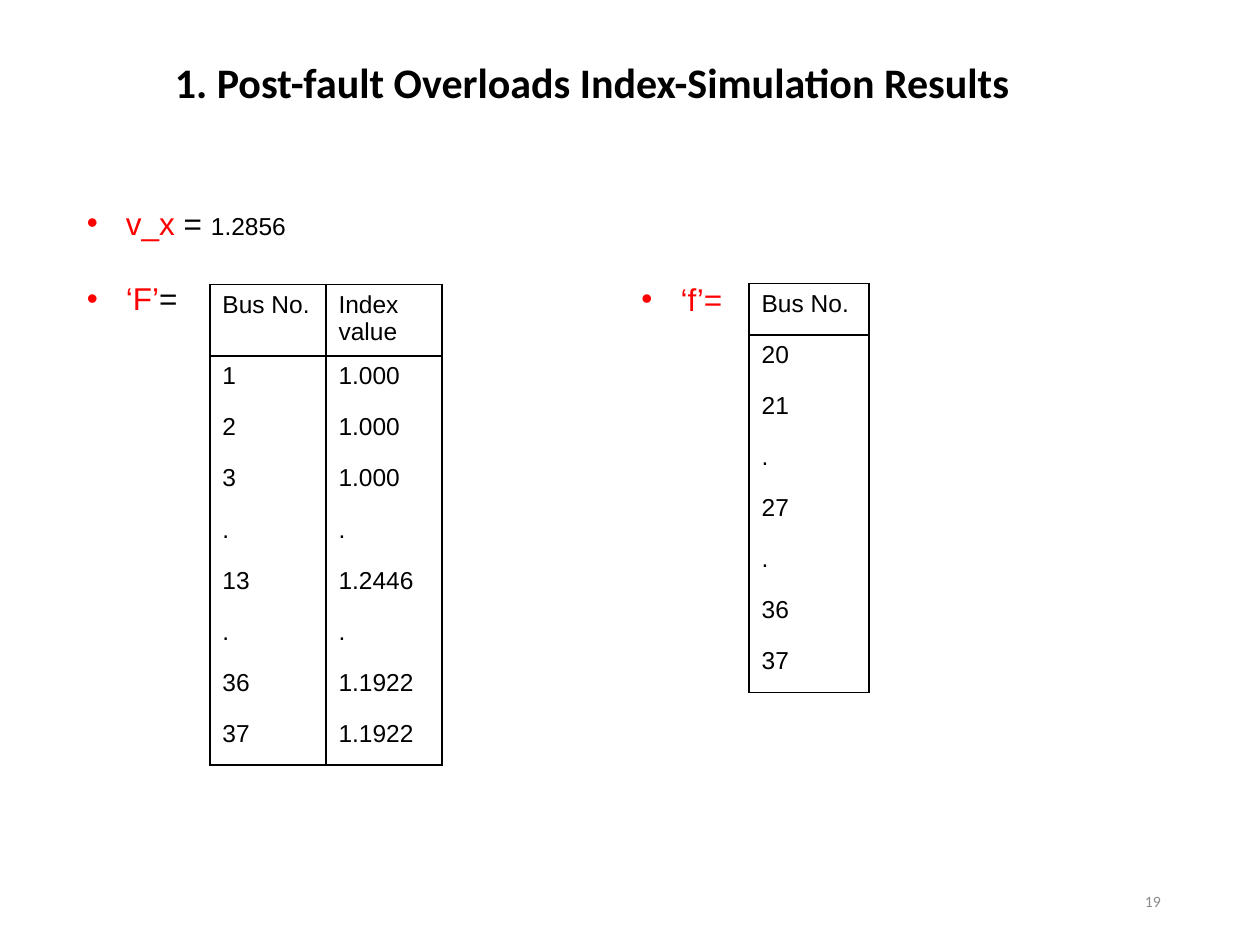
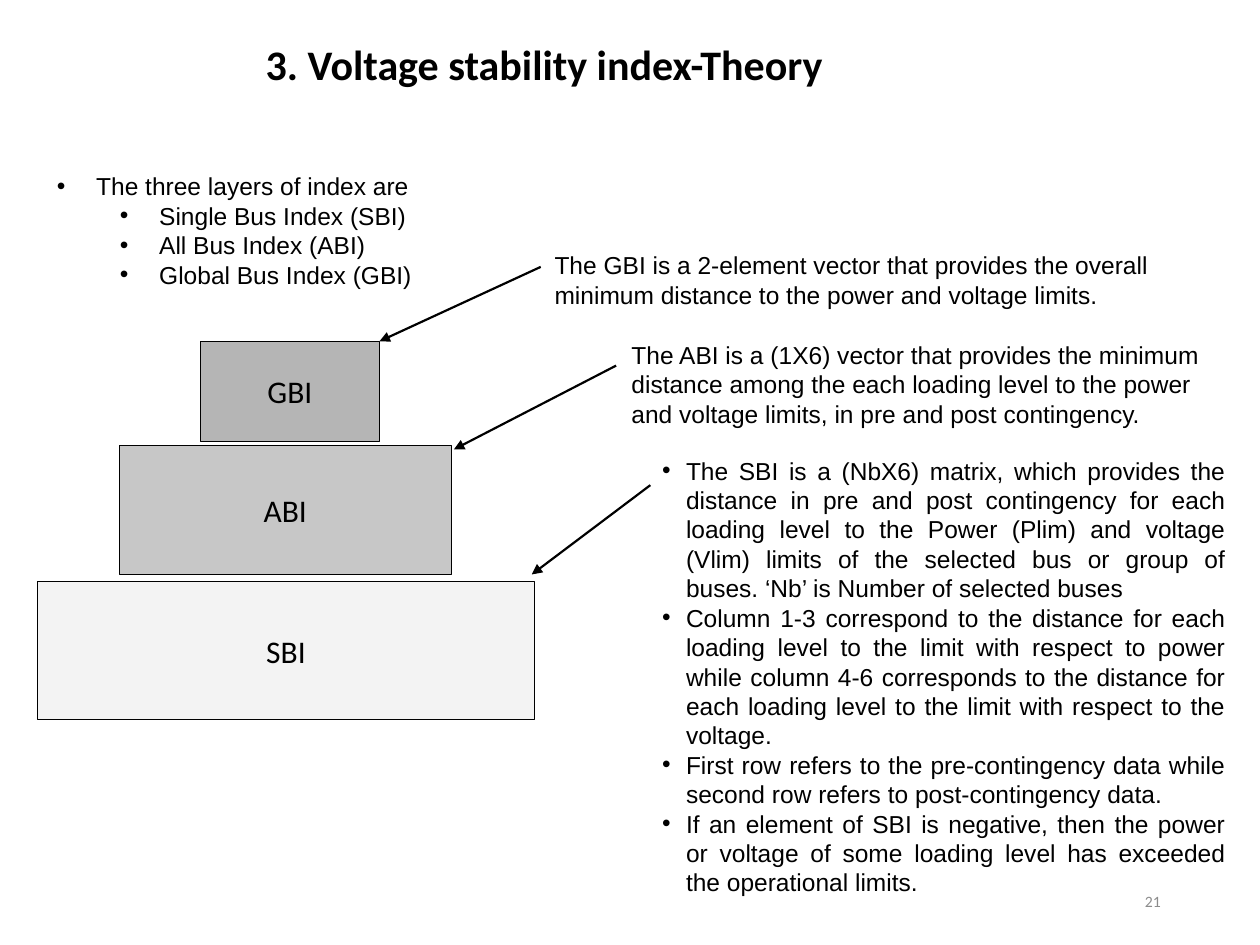
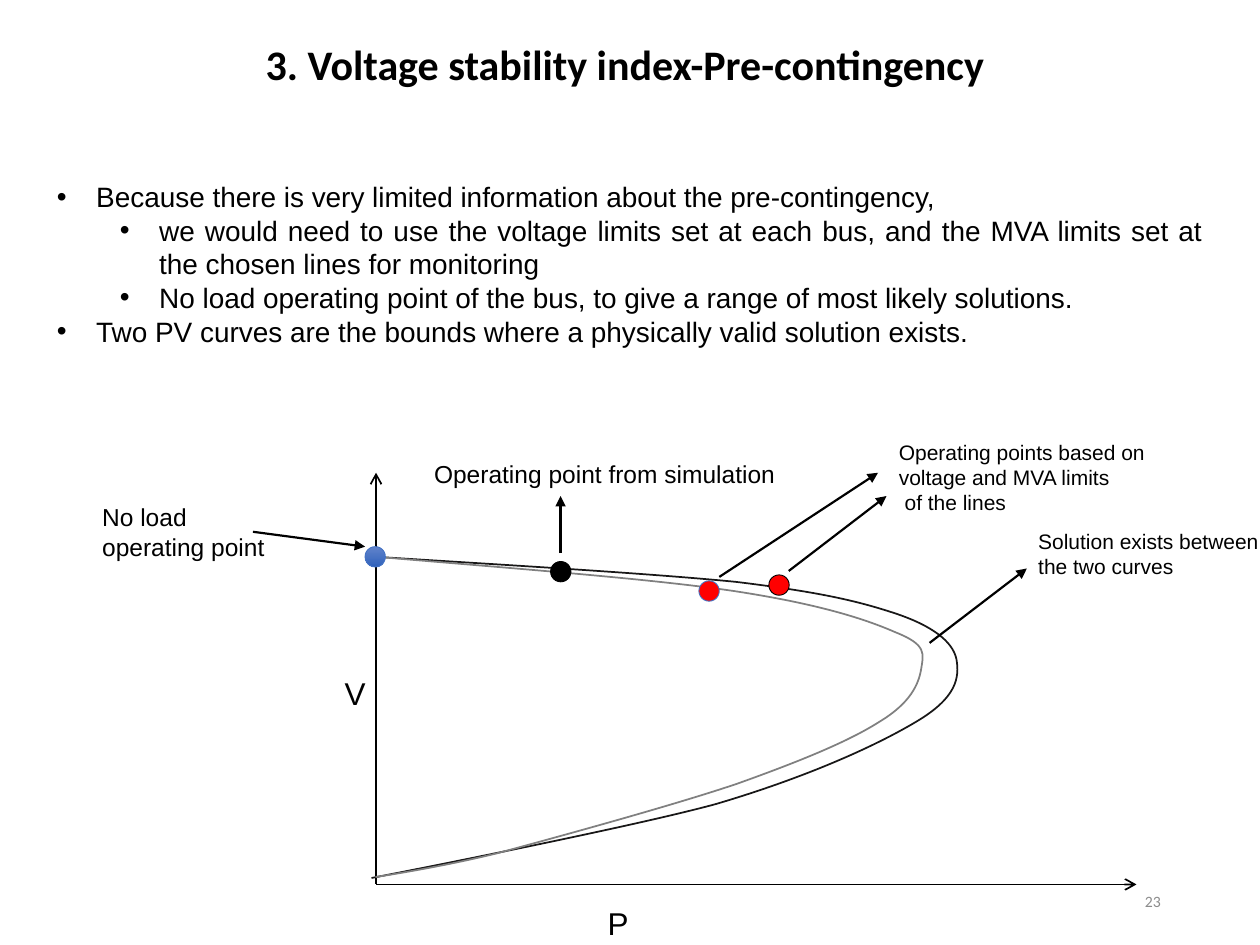
from lxml.etree import SubElement
from pptx import Presentation
from pptx.dml.color import RGBColor
from pptx.enum.shapes import MSO_CONNECTOR, MSO_SHAPE
from pptx.enum.text import MSO_ANCHOR as Anchor, PP_ALIGN as Align
from pptx.oxml.ns import qn
from pptx.util import Cm, Pt

rgb = RGBColor.from_string
BLACK, RED, BLUE, GREY = "000000", "FF0000", "4472C4", "8C8C8C"
HANG, LEVEL_STEP = 0.79, 1.27


def write(frame, lines, size=14, font="Arial", color=BLACK, bold=False, align=Align.LEFT,
          anchor=Anchor.TOP, wrap=True, levels=None, hang=HANG, gap=0, spacing=None):
    """Fill a frame; a line is a string or a list of (text, size, color) spans.

    levels gives the bullet level of each line, gap the points between lines.
    """
    frame.word_wrap, frame.vertical_anchor = wrap, anchor
    for index, line in enumerate(lines):
        para = frame.paragraphs[0] if index == 0 else frame.add_paragraph()
        para.alignment = align
        para.space_before = Pt(gap if index else 0)
        if spacing:
            para.line_spacing = spacing
        spans = [(line, size, color)] if isinstance(line, str) else line
        if levels:
            para.level = levels[index]
            props = para._p.get_or_add_pPr()
            props.set("marL", str(Cm(hang + LEVEL_STEP * levels[index])))
            props.set("indent", str(-Cm(hang)))
            bullet_color = SubElement(props, qn("a:buClr"))
            SubElement(bullet_color, qn("a:srgbClr"), val=spans[0][2])
            SubElement(props, qn("a:buFont"), typeface="Arial")
            SubElement(props, qn("a:buChar"), char="•")
        for text, span_size, span_color in spans:
            span = para.add_run()
            span.text = text
            span.font.name, span.font.bold = font, bold
            span.font.size, span.font.color.rgb = Pt(span_size), rgb(span_color)


def add_line(page, ends, width=1.25, head="triangle"):
    line = page.shapes.add_connector(MSO_CONNECTOR.STRAIGHT, *map(Cm, ends))
    line.line.color.rgb, line.line.width = rgb(BLACK), Pt(width)
    props = line._element.spPr
    SubElement(props.find(qn("a:ln")), qn("a:tailEnd"), type=head)
    SubElement(props, qn("a:effectLst"))


deck = Presentation()
deck.slide_width, deck.slide_height = Cm(25.4), Cm(19.05)

# Titles and page numbers
pages = []
for title, number, left, top, width in [
    ("1. Post-fault Overloads Index-Simulation Results", "19", 3.27, 1.12, 21.03),
    ("3. Voltage stability index-Theory", "21", 5.1, 0.76, 19.86),
    ("3. Voltage stability index-Pre-contingency", "23", 5.1, 0.76, 19.86),
]:
    page = deck.slides.add_slide(deck.slide_layouts[5])
    heading = page.shapes.title
    heading.left, heading.top = Cm(left), Cm(top)
    heading.width, heading.height = Cm(width), Cm(3.18)
    write(heading.text_frame, [title], size=24, font="Calibri", bold=True, spacing=0.9)
    box = page.shapes.add_textbox(Cm(17.93), Cm(17.65), Cm(5.72), Cm(1.02))
    write(box.text_frame, [number], size=9, font="Calibri", color=GREY,
          align=Align.RIGHT, anchor=Anchor.MIDDLE)
    pages.append(page)
results, theory, pre_contingency = pages

# Simulation results
box = results.shapes.add_textbox(Cm(1.5), Cm(3.73), Cm(22.23), Cm(2.82))
box.text_frame.margin_top = Cm(0.38)
write(box.text_frame, [
    [("v_x", 18, RED), (" = ", 18, BLACK), ("1.2856", 14, BLACK)],
    [("‘F’", 18, RED), ("=", 18, BLACK)],
], align=Align.JUSTIFY, levels=(0, 0), gap=21.6)
box = results.shapes.add_textbox(Cm(12.68), Cm(5.52), Cm(2.16), Cm(1.02))
write(box.text_frame, ["‘f’="], size=18, color=RED, wrap=False, levels=(0,))

ROW_HEIGHT = 1.03
index_rows = [("Bus No.", "Index value"), ("1", "1.000"), ("2", "1.000"), ("3", "1.000"),
              (".", "."), ("13", "1.2446"), (".", "."), ("36", "1.1922"), ("37", "1.1922")]
bus_rows = [("Bus No.",), ("20",), ("21",), (".",), ("27",), (".",), ("36",), ("37",)]
for rows, left, top, column_width, header_height in [
    (index_rows, 4.23, 5.74, 2.34, 1.43),
    (bus_rows, 15.1, 5.72, 2.42, ROW_HEIGHT),
]:
    columns = len(rows[0])
    height = header_height + ROW_HEIGHT * (len(rows) - 1)
    table = results.shapes.add_table(len(rows), columns, Cm(left), Cm(top),
                                     Cm(column_width * columns), Cm(height)).table
    table.first_row = table.horz_banding = False
    for column in table.columns:
        column.width = Cm(column_width)
    for r, values in enumerate(rows):
        table.rows[r].height = Cm(ROW_HEIGHT if r else header_height)
        edges = {"a:lnL": True, "a:lnR": True, "a:lnT": r <= 1,
                 "a:lnB": r in (0, len(rows) - 1)}
        for c, value in enumerate(values):
            cell = table.cell(r, c)
            write(cell.text_frame, [value])
            props = cell._tc.get_or_add_tcPr()
            for edge, drawn in edges.items():
                border = SubElement(props, qn(edge), w=str(Pt(1)))
                paint = SubElement(border, qn("a:solidFill" if drawn else "a:noFill"))
                if drawn:
                    SubElement(paint, qn("a:srgbClr"), val=BLACK)
            cell.fill.background()

# Theory: three layers of index
box = theory.shapes.add_textbox(Cm(0.9), Cm(3.33), Cm(23.6), Cm(3.25))
write(box.text_frame, ["The three layers of index are", "Single Bus Index (SBI)",
                       "All Bus Index (ABI)", "Global Bus Index (GBI)"], levels=(0, 1, 1, 1))

for name, fill, frame in [
    ("GBI", BLACK, (4.04, 6.88, 3.61, 2.02)),
    ("SBI", "D9D9D9", (0.76, 11.72, 10.01, 2.79)),
    ("ABI", "404040", (2.4, 8.99, 6.7, 2.59)),
]:
    layer = theory.shapes.add_shape(MSO_SHAPE.RECTANGLE, *map(Cm, frame))
    layer.shadow.inherit = False
    layer.fill.solid()
    layer.fill.fore_color.rgb = rgb(fill)
    tint = layer._element.spPr.find(qn("a:solidFill")).find(qn("a:srgbClr"))
    SubElement(tint, qn("a:alpha"), val="29000")
    layer.line.color.rgb, layer.line.width = rgb(BLACK), Pt(0.5)
    write(layer.text_frame, [name], size=18, font="Calibri",
          align=Align.CENTER, anchor=Anchor.MIDDLE)

for text, frame, ends in [
    ("The GBI is a 2-element vector that provides the overall minimum distance to the power "
     "and voltage limits.", (10.93, 4.92, 13.56, 2.06), (10.9, 5.38, 7.65, 6.88)),
    ("The ABI is a (1X6) vector that provides the minimum distance among the each loading level "
     "to the power and voltage limits, in pre and post contingency.",
     (12.48, 6.73, 12.47, 2.06), (12.42, 7.37, 9.15, 9.06)),
]:
    add_line(theory, ends)
    box = theory.shapes.add_textbox(*map(Cm, frame))
    write(box.text_frame, [text])

add_line(theory, (13.11, 9.78, 10.72, 11.58))
box = theory.shapes.add_textbox(Cm(13.1), Cm(9.06), Cm(11.86), Cm(9.91))
write(box.text_frame, [
    "The SBI is a (NbX6) matrix, which provides the distance in pre and post contingency for "
    "each loading level to the Power (Plim) and voltage (Vlim) limits of the selected bus or "
    "group of buses. ‘Nb’ is Number of selected buses",
    "Column 1-3 correspond to the distance for each loading level to the limit with respect to "
    "power while column 4-6 corresponds to the distance for each loading level to the limit "
    "with respect to the voltage.",
    "First row refers to the pre-contingency data while second row refers to "
    "post-contingency data.",
    "If an element of SBI is negative, then the power or voltage of some loading level has "
    "exceeded the operational limits.",
], align=Align.JUSTIFY, levels=(0, 0, 0, 0), hang=0.48)

# Pre-contingency: PV curves
box = pre_contingency.shapes.add_textbox(Cm(0.9), Cm(3.5), Cm(23.6), Cm(3.68))
write(box.text_frame, [
    "Because there is very limited information about the pre-contingency,",
    "we would need to use the voltage limits set at each bus, and the MVA limits set at the "
    "chosen lines for monitoring",
    "No load operating point of the bus, to give a range of most likely solutions.",
    "Two PV curves are the bounds where a physically valid solution exists.",
], size=16, align=Align.JUSTIFY, levels=(0, 1, 1, 0))

# Each axis is a plain part followed by an arrow
origin, p_joint, v_joint = (7.58, 17.83), (19.1, 17.83), (7.58, 11.13)
for start, end, head in [
    (v_joint, origin, "none"),
    (p_joint, origin, "none"),
    (p_joint, (22.91, 17.83), "arrow"),
    (v_joint, (7.58, 9.53), "arrow"),
]:
    add_line(pre_contingency, start + end, width=1, head=head)

# Each curve is a chain of cubic Bezier segments that share their end points
outer_curve = [
    (7.65, 11.23), (10.36, 11.4), (13.08, 11.56), (14.83, 11.73), (16.56, 11.94),
    (17.3, 12.12), (18.06, 12.37), (18.8, 12.62), (19.2, 12.93), (19.28, 13.28),
    (19.35, 13.67), (19.28, 14.07), (18.47, 14.55), (17.65, 15.04), (16.26, 15.67),
    (14.43, 16.21), (12.6, 16.71), (7.49, 17.7), (7.49, 17.7)]
inner_curve = [
    (7.65, 11.23), (10.34, 11.46), (13.03, 11.66), (14.76, 11.91), (16.48, 12.17),
    (17.42, 12.47), (18.06, 12.75), (18.69, 13), (18.62, 13.18), (18.57, 13.49),
    (18.52, 13.79), (18.36, 14.17), (17.73, 14.55), (17.12, 14.94), (16.15, 15.34),
    (14.86, 15.8), (13.59, 16.23), (11.25, 16.87), (10.03, 17.2), (8.81, 17.5),
    (7.57, 17.68), (7.57, 17.68)]
for controls, color in [(outer_curve, "181717"), (inner_curve, "808080")]:
    start, *points = [(Cm(x), Cm(y)) for x, y in controls]
    builder = pre_contingency.shapes.build_freeform(*start)
    builder.add_line_segments(points, close=False)
    curve = builder.convert_to_shape()
    outline = next(curve._element.iter(qn("a:path")))
    steps = outline.findall(qn("a:lnTo"))
    for first in range(0, len(steps), 3):
        bezier = SubElement(outline, qn("a:cubicBezTo"))
        for step in steps[first:first + 3]:
            bezier.append(step[0])
            outline.remove(step)
    curve.shadow.inherit = False
    curve.fill.background()
    curve.line.color.rgb, curve.line.width = rgb(color), Pt(1)

DOT = 0.41
for left, top, fill, border_color in [
    (7.36, 11.02, None, BLUE),
    (11.1, 11.32, BLACK, BLACK),
    (14.09, 11.71, RED, BLUE),
    (15.5, 11.59, RED, BLACK),
]:
    dot = pre_contingency.shapes.add_shape(MSO_SHAPE.OVAL, Cm(left), Cm(top), Cm(DOT), Cm(DOT))
    dot.shadow.inherit = False
    dot.line.color.rgb, dot.line.width = rgb(border_color), Pt(0.5)
    if fill:
        dot.fill.solid()
        dot.fill.fore_color.rgb = rgb(fill)
    else:
        dot.fill.gradient()
        dot.fill.gradient_angle = 270
        for stop, position, shade in zip(dot.fill.gradient_stops, (0, 1), ("6183CB", "3062BB")):
            stop.position, stop.color.rgb = position, rgb(shade)

for ends in [(5.1, 10.72, 7.36, 11.02), (11.3, 11.15, 11.3, 10), (15.9, 11.51, 17.87, 10),
             (14.5, 11.63, 17.7, 9.53), (18.74, 12.96, 20.7, 11.46)]:
    add_line(pre_contingency, ends)

for lines, size, frame in [
    (["P"], 18, (12, 18.1, 0.94, 1.02)),
    (["V"], 18, (6.7, 13.46, 0.97, 1.02)),
    (["Operating point from simulation"], 14, (8.5, 9.12, 7.44, 0.86)),
    (["No load", "operating point"], 14, (1.81, 10, 3.84, 1.45)),
    (["Operating points based on", "voltage and MVA limits", " of the lines"], 12,
     (17.87, 8.73, 6.63, 1.8)),
    (["Solution exists between", "the two curves"], 12, (20.68, 10.53, 4.72, 1.27)),
]:
    box = pre_contingency.shapes.add_textbox(*map(Cm, frame))
    box.text_frame.margin_right = 0
    write(box.text_frame, lines, size=size, wrap=False)

deck.save("out.pptx")
